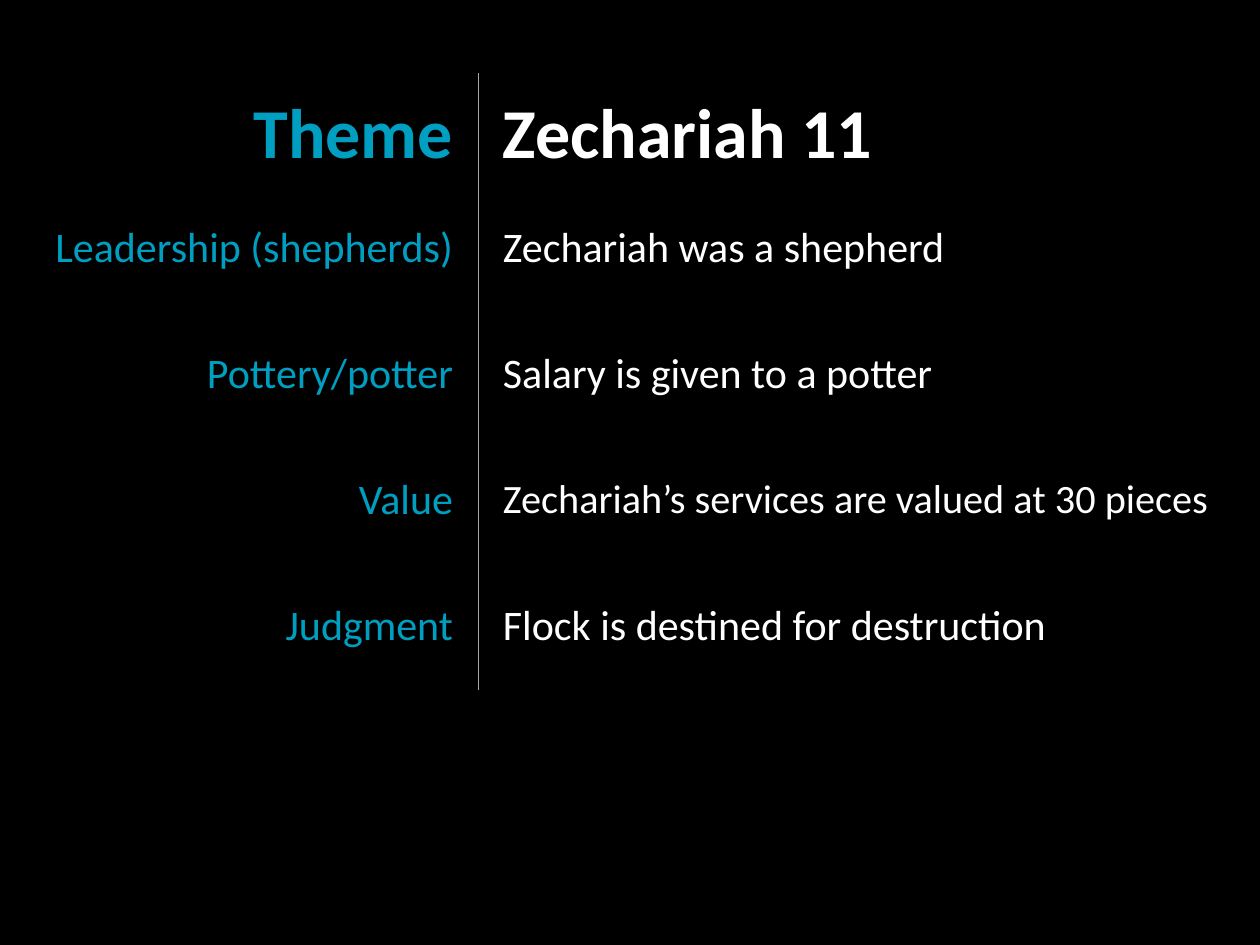
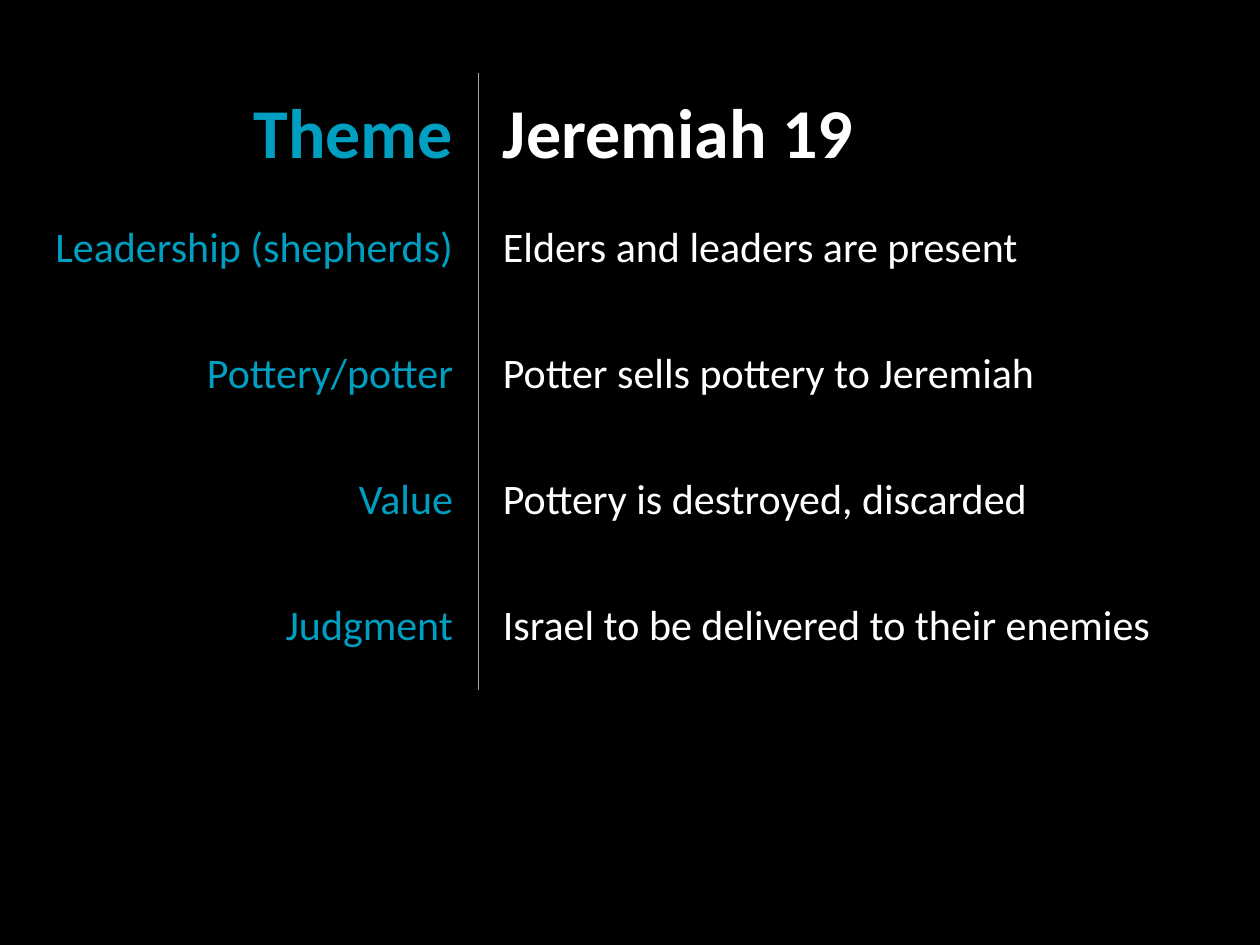
import lxml.etree
import pptx
import pptx.dml.color
import pptx.enum.text
import pptx.oxml.ns
import pptx.util

PX_PER_INCH = 126
BLACK = pptx.dml.color.RGBColor(0x00, 0x00, 0x00)
WHITE = pptx.dml.color.RGBColor(0xFF, 0xFF, 0xFF)
TEAL = pptx.dml.color.RGBColor(0x00, 0x9E, 0xC0)
GREY = pptx.dml.color.RGBColor(0xA6, 0xA6, 0xA6)
FONT = "Calibri"
HEADER_SIZE, BODY_SIZE, LONG_SIZE = 40, 24, 23
LONG_TEXT = 40  # characters beyond which body text shrinks to stay on one line

TABLE_BOX = (15, 73, 1228, 617)
THEME_WIDTH = 463
HEADER_HEIGHT = 113
SIDE_INSET, HEADER_INSET, BODY_INSET = 25, 9, 37

THEMES = ["Theme", "Leadership (shepherds)", "Pottery/potter", "Value", "Judgment"]
PASSAGES = [
    ["Zechariah 11", "Zechariah was a shepherd", "Salary is given to a potter",
     "Zechariah’s services are valued at 30 pieces",
     "Flock is destined for destruction"],
    ["Jeremiah 19", "Elders and leaders are present",
     "Potter sells pottery to Jeremiah", "Pottery is destroyed, discarded",
     "Israel to be delivered to their enemies"],
]


def px(length):
    return pptx.util.Emu(round(length * 914400 / PX_PER_INCH))


def set_borders(cell, ruled_side):
    """Draw a hairline on one side of the cell and clear the other sides."""
    qn = pptx.oxml.ns.qn
    properties = cell._tc.get_or_add_tcPr()
    for side in ("lnL", "lnR", "lnT", "lnB"):
        line = lxml.etree.SubElement(properties, qn(f"a:{side}"))
        if side == ruled_side:
            line.set("w", str(pptx.util.Pt(0.25)))
            fill = lxml.etree.SubElement(line, qn("a:solidFill"))
            lxml.etree.SubElement(fill, qn("a:srgbClr"), val=str(GREY))
        else:
            line.set("w", "0")
            lxml.etree.SubElement(line, qn("a:noFill"))


def fill_cell(cell, text, is_header, is_theme):
    set_borders(cell, "lnR" if is_theme else "lnL")
    cell.fill.background()
    cell.margin_left = cell.margin_right = px(SIDE_INSET)
    cell.margin_top = cell.margin_bottom = px(HEADER_INSET if is_header else BODY_INSET)
    anchors = pptx.enum.text.MSO_ANCHOR
    cell.vertical_anchor = anchors.BOTTOM if is_header else anchors.TOP
    para = cell.text_frame.paragraphs[0]
    alignments = pptx.enum.text.PP_ALIGN
    para.alignment = alignments.RIGHT if is_theme else alignments.LEFT
    span = para.add_run()
    span.text = text
    span.font.name = FONT
    span.font.bold = is_header
    span.font.color.rgb = TEAL if is_theme else WHITE
    body_size = LONG_SIZE if len(text) > LONG_TEXT else BODY_SIZE
    span.font.size = pptx.util.Pt(HEADER_SIZE if is_header else body_size)


def add_theme_table(page, box, passage):
    left, top, width, height = box
    frame = page.shapes.add_table(len(THEMES), 2, px(left), px(top), px(width), px(height))
    table = frame.table
    table.first_row = table.horz_banding = False
    table.columns[0].width = px(THEME_WIDTH)
    table.columns[1].width = px(width - THEME_WIDTH)
    body_height = (height - HEADER_HEIGHT) / (len(THEMES) - 1)
    for index, texts in enumerate(zip(THEMES, passage)):
        is_header = index == 0
        table.rows[index].height = px(HEADER_HEIGHT if is_header else body_height)
        for column, text in enumerate(texts):
            fill_cell(table.cell(index, column), text, is_header, column == 0)


def main():
    deck = pptx.Presentation()
    deck.slide_width = pptx.util.Inches(10)
    deck.slide_height = pptx.util.Inches(7.5)
    background = deck.slide_master.background.fill
    background.solid()
    background.fore_color.rgb = BLACK
    blank = deck.slide_layouts.get_by_name("Blank")
    for passage in PASSAGES:
        add_theme_table(deck.slides.add_slide(blank), TABLE_BOX, passage)
    deck.save("out.pptx")


if __name__ == "__main__":
    main()
